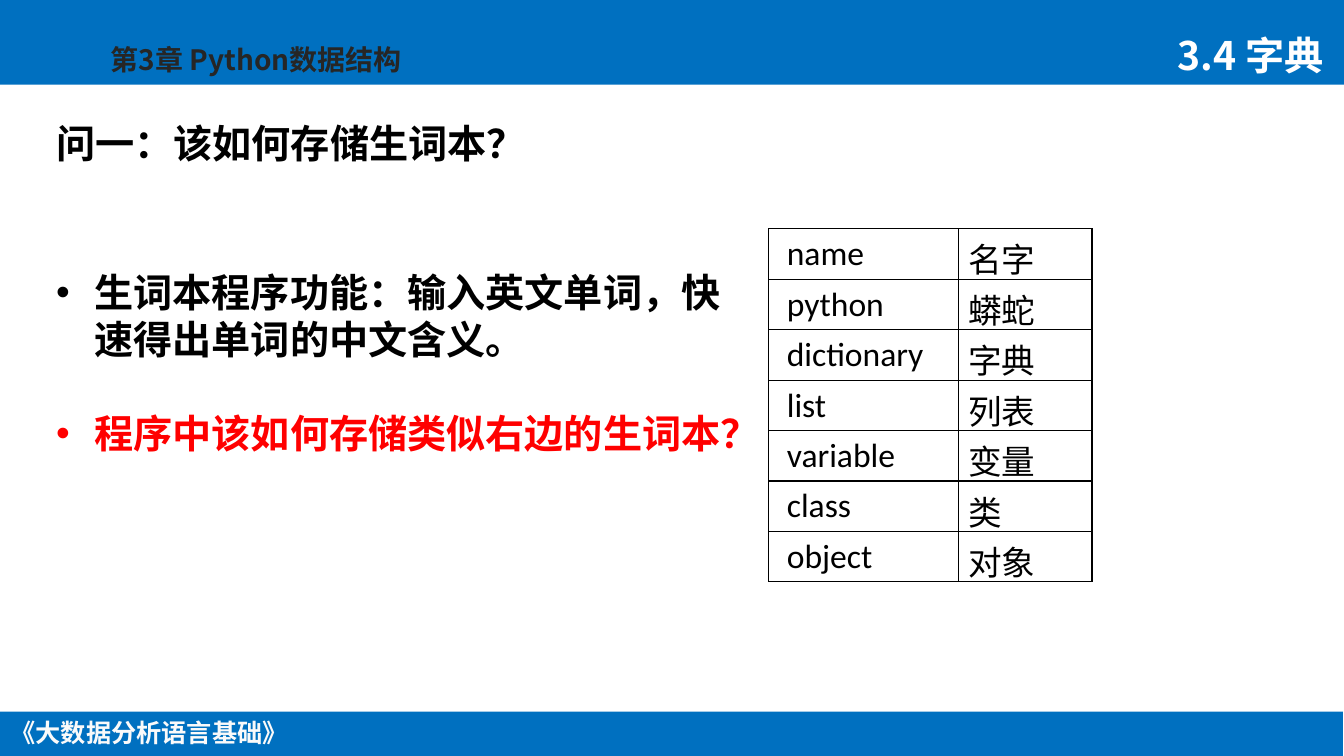
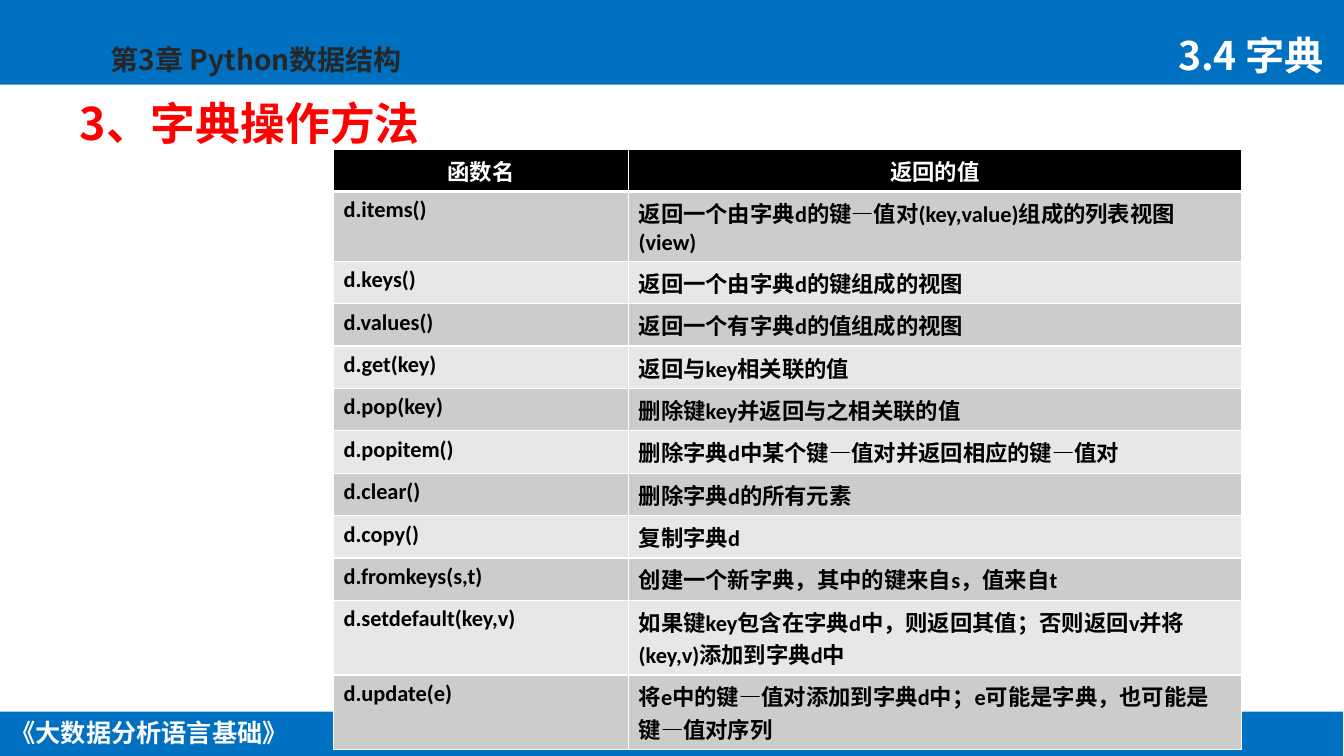
from lxml.etree import SubElement
from pptx import Presentation
from pptx.dml.color import RGBColor
from pptx.enum.shapes import MSO_SHAPE as Shape
from pptx.enum.text import MSO_ANCHOR as Anchor, PP_ALIGN as Align
from pptx.oxml import parse_xml
from pptx.oxml.ns import nsdecls, qn
from pptx.util import Inches, Pt

BLUE, WHITE, BLACK, RED = "0070C0", "FFFFFF", "000000", "FF0000"
STRIPES = ("CCCCCC", "E7E7E7")
CJK, LATIN = "Noto Sans CJK SC", "Calibri"

BANDS = [(0, 0, 13.34, 0.84), (-0.01, 7.06, 13.34, 0.45)]
COURSE = "《大数据分析语言基础》"
CHAPTER = "第3章 Python数据结构"
SECTION = "3.4 字典"
SECTION_AT = (10.92, 0.09, 2.32, 0.74)
SECTION_STYLE = dict(size=28, color=WHITE, align=Align.RIGHT, spacing=0.9)

QUESTION = "问一：该如何存储生词本？"
POINTS = [
    ("生词本程序功能：输入英文单词，快速得出单词的中文含义。", BLACK),
    ("程序中该如何存储类似右边的生词本？", RED),
]
VOCABULARY = [
    ("name", "名字"),
    ("python", "蟒蛇"),
    ("dictionary", "字典"),
    ("list", "列表"),
    ("variable", "变量"),
    ("class", "类"),
    ("object", "对象"),
]
METHODS_TITLE = "3、字典操作方法"
METHODS = [
    ("函数名", "返回的值"),
    ("d.items()", "返回一个由字典d的键—值对(key,value)组成的列表视图(view)"),
    ("d.keys()", "返回一个由字典d的键组成的视图"),
    ("d.values()", "返回一个有字典d的值组成的视图"),
    ("d.get(key)", "返回与key相关联的值"),
    ("d.pop(key)", "删除键key并返回与之相关联的值"),
    ("d.popitem()", "删除字典d中某个键—值对并返回相应的键—值对"),
    ("d.clear()", "删除字典d的所有元素"),
    ("d.copy()", "复制字典d"),
    ("d.fromkeys(s,t)", "创建一个新字典，其中的键来自s，值来自t"),
    ("d.setdefault(key,v)", "如果键key包含在字典d中，则返回其值；否则返回v并将(key,v)添加到字典d中"),
    ("d.update(e)", "将e中的键—值对添加到字典d中；e可能是字典，也可能是键—值对序列"),
]
TALL_ROWS = (1, 10, 11)


def rgb(color):
    return RGBColor.from_string(color)


def inches(values):
    return [Inches(value) for value in values]


def write(para, text, size, color, bold=True, latin=CJK, align=Align.LEFT, spacing=None):
    span = para.add_run()
    span.text = text
    span.font.color.rgb = rgb(color)
    for name, value in dict(size=Pt(size), bold=bold, name=latin).items():
        setattr(span.font, name, value)
    SubElement(span.font._element, qn("a:ea"), typeface=CJK)
    para.alignment = align
    para.line_spacing = spacing
    return span


def add_text(page, at, anchor=Anchor.TOP, wrap=True):
    frame = page.shapes.add_textbox(*inches(at)).text_frame
    frame.word_wrap = wrap
    frame.vertical_anchor = anchor
    return frame


def set_title(page, text, at, **style):
    title = page.shapes.title
    for name, value in zip(("left", "top", "width", "height"), inches(at)):
        setattr(title, name, value)
    title.text_frame.vertical_anchor = Anchor.BOTTOM
    write(title.text_frame.paragraphs[0], text, **style)


def add_bullet(para, indent):
    props = para._p.get_or_add_pPr()
    props.set("marL", str(Inches(indent)))
    props.set("indent", str(-Inches(indent)))
    SubElement(props, qn("a:buFont"), typeface="Arial")
    SubElement(props, qn("a:buChar"), char="•")


def set_borders(cell, color, **widths):
    """Draw all four sides 1 pt wide unless a width is given for L, R, T or B."""
    for side in "LRTB":
        width = Pt(widths.get(side, 1))
        cell._tc.get_or_add_tcPr().append(parse_xml(
            f'<a:ln{side} {nsdecls("a")} w="{width}"><a:solidFill>'
            f'<a:srgbClr val="{color}"/></a:solidFill></a:ln{side}>'))


def add_grid(page, at, columns, heights, rows):
    """Add an unstyled table and yield row, column, cell and text."""
    size = (sum(columns), sum(heights))
    table = page.shapes.add_table(len(rows), len(columns), *inches(at + size)).table
    table.first_row = table.horz_banding = False
    for column, width in zip(table.columns, columns):
        column.width = Inches(width)
    for row, height in zip(table.rows, heights):
        row.height = Inches(height)
    for r, texts in enumerate(rows):
        for c, text in enumerate(texts):
            yield r, c, table.cell(r, c), text


def move_frame_to_layout(page):
    """Build bands, course and chapter names, and place them on the layout."""
    layout = page.slide_layout
    for holder in list(layout.placeholders)[1:]:
        layout.shapes.element.remove(holder.element)
    for at in BANDS:
        band = page.shapes.add_shape(Shape.RECTANGLE, *inches(at))
        band.shadow.inherit = False
        band.fill.solid()
        band.fill.fore_color.rgb = rgb(BLUE)
        band.line.fill.background()
    course = add_text(page, (-0.01, 7.07, 2.98, 0.4), wrap=False)
    write(course.paragraphs[0], COURSE, 18, "FAFAFA", align=Align.CENTER)
    chapter = add_text(page, (1, 0.37, 3.78, 0.44))
    span = write(chapter.paragraphs[0], CHAPTER, 20, "262626")
    span.font._element.insert(0, parse_xml(
        f'<a:ln {nsdecls("a")} w="{Pt(1.06)}"><a:solidFill>'
        f'<a:srgbClr val="{WHITE}"/></a:solidFill></a:ln>'))
    for shape in list(page.shapes)[1:]:
        layout.shapes.element.append(shape.element)


def fill_question_page(page):
    set_title(page, SECTION, SECTION_AT, **SECTION_STYLE)
    question = add_text(page, (0.46, 0.95, 8.83, 0.94), Anchor.MIDDLE)
    write(question.paragraphs[0], QUESTION, 28, BLACK)

    heights = [0.5] + [0.41] * (len(VOCABULARY) - 1)
    for _, c, cell, text in add_grid(page, (7.63, 2.27), (1.88, 1.33), heights, VOCABULARY):
        set_borders(cell, BLACK)
        cell.fill.background()
        if c == 0:
            cell.margin_left = Inches(0.18)
        write(cell.text_frame.paragraphs[0], text, 24, BLACK, bold=False, latin=LATIN)

    points = add_text(page, (0.46, 2.61, 6.87, 2.46))
    line = Pt(33.6)
    for i, (text, color) in enumerate(POINTS):
        para = points.add_paragraph() if i else points.paragraphs[0]
        add_bullet(para, 0.38)
        write(para, text, 28, color, spacing=line)
        if i:
            para.space_before = line


def fill_methods_page(page):
    set_title(page, METHODS_TITLE, (0.69, 0.7, 9.02, 0.84), size=32, color=RED, spacing=0.9)
    heights = [0.63 if r in TALL_ROWS else 0.41 for r in range(len(METHODS))]
    for r, _, cell, text in add_grid(page, (3.31, 1.48), (2.93, 6.08), heights, METHODS):
        header = r == 0
        set_borders(cell, WHITE, B=3 if header else 1, T=3 if r == 1 else 1)
        cell.fill.solid()
        cell.fill.fore_color.rgb = rgb(BLACK if header else STRIPES[(r - 1) % 2])
        write(cell.text_frame.paragraphs[0], text, 16, WHITE if header else BLACK,
              latin=LATIN, align=Align.CENTER if header else Align.LEFT)
    section = add_text(page, SECTION_AT, Anchor.BOTTOM)
    write(section.paragraphs[0], SECTION, **SECTION_STYLE)


def main():
    deck = Presentation()
    deck.slide_width, deck.slide_height = inches((13.34, 7.5))
    title_only = deck.slide_layouts[5]
    question_page, methods_page = [deck.slides.add_slide(title_only) for _ in range(2)]
    move_frame_to_layout(question_page)
    fill_question_page(question_page)
    fill_methods_page(methods_page)
    deck.save("out.pptx")


if __name__ == "__main__":
    main()
